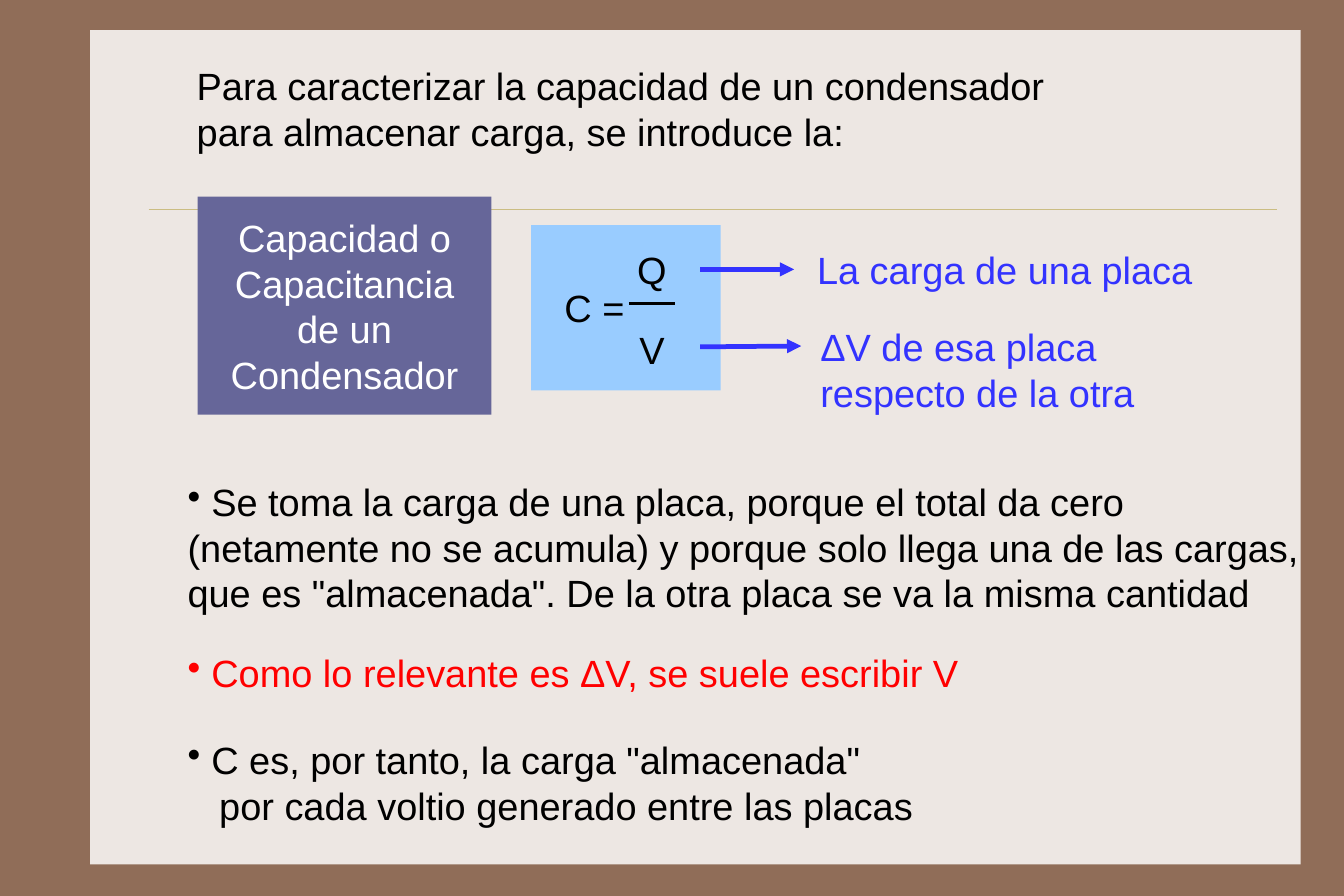
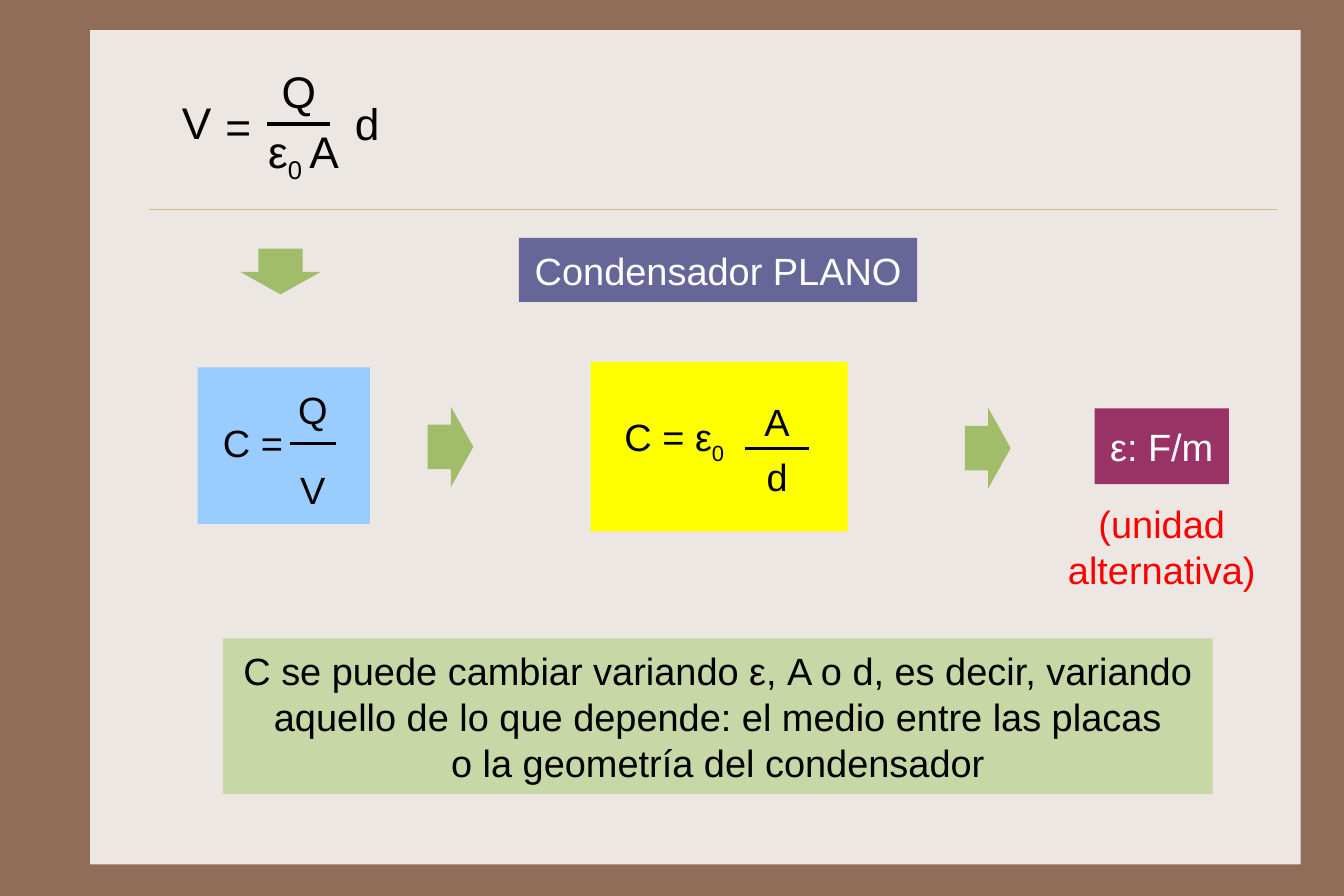
from lxml.etree import SubElement
from pptx import Presentation
from pptx.dml.color import RGBColor
from pptx.enum.shapes import MSO_CONNECTOR, MSO_SHAPE
from pptx.enum.text import MSO_ANCHOR, PP_ALIGN
from pptx.oxml.ns import qn
from pptx.util import Pt

FONT = "Arial"
BROWN = RGBColor(0x90, 0x6D, 0x58)
PAPER = RGBColor(0xED, 0xE7, 0xE3)
RULE = RGBColor(0xCB, 0xBD, 0x83)
BLACK = RGBColor(0, 0, 0)
WHITE = RGBColor(0xFF, 0xFF, 0xFF)
RED = RGBColor(0xFF, 0, 0)
BLUE = RGBColor(0x33, 0x33, 0xFF)
SKY = RGBColor(0x99, 0xCC, 0xFF)
SLATE = RGBColor(0x66, 0x66, 0x99)
YELLOW = RGBColor(0xFF, 0xFF, 0)
PLUM = RGBColor(0x99, 0x33, 0x66)
GREEN = RGBColor(0xA1, 0xBD, 0x69)
PALE_GREEN = RGBColor(0xC7, 0xD7, 0xA5)

CENTER = PP_ALIGN.CENTER
BULLET_INDENT = 15


def points(*values):
    return [Pt(value) for value in values]


def add_block(shapes, box, fill, kind=MSO_SHAPE.RECTANGLE):
    shape = shapes.add_shape(kind, *points(*box))
    shape.shadow.inherit = False
    shape.fill.solid()
    shape.fill.fore_color.rgb = fill
    shape.line.fill.background()
    return shape


def add_line(shapes, start, end, color=BLACK, width=2, arrow=False):
    line = shapes.add_connector(MSO_CONNECTOR.STRAIGHT, *points(*start, *end))
    line.line.color.rgb = color
    line.line.width = Pt(width)
    if arrow:
        SubElement(line.line._get_or_add_ln(), qn("a:tailEnd"), type="triangle")
    SubElement(line._element.spPr, qn("a:effectLst"))
    return line


def write(shapes, text, box, size=24, color=BLACK, fill=None, align=PP_ALIGN.LEFT,
          anchor=MSO_ANCHOR.TOP, margins=(7.2, 3.6), wrap=True, bullet=False, indent=0):
    """Write one paragraph per line; text between underscores is subscript.

    With bullet, the first line gets a bullet and the others the given indent.
    """
    if fill is None:
        shape = shapes.add_textbox(*points(*box))
    else:
        shape = add_block(shapes, box, fill)
    frame = shape.text_frame
    frame.word_wrap = wrap
    frame.vertical_anchor = anchor
    frame.margin_left = frame.margin_right = Pt(margins[0])
    frame.margin_top = frame.margin_bottom = Pt(margins[1])
    for number, line in enumerate(text.split("\n")):
        paragraph = frame.add_paragraph() if number else frame.paragraphs[0]
        if bullet:
            properties = paragraph._p.get_or_add_pPr()
            hanging = BULLET_INDENT if number == 0 else 0
            properties.set("marL", str(Pt(hanging or indent)))
            properties.set("indent", str(-Pt(hanging)))
            if hanging:
                SubElement(properties, qn("a:buChar"), char="•")
        paragraph.alignment = align
        paragraph.line_spacing = Pt(round(size * 1.21))
        for position, piece in enumerate(line.split("_")):
            if not piece:
                continue
            run = paragraph.add_run()
            run.text = piece
            run.font.name = FONT
            run.font.size = Pt(size)
            run.font.color.rgb = color
            if position % 2:
                run._r.get_or_add_rPr().set("baseline", "-25000")
    return shape


def add_fraction(shapes, bar, numerator, denominator, size=24, rise=40, drop=10.5, shift=0):
    """Set two terms around a bar (left, y, width); rise and drop place their tops."""
    left, y, width = bar
    add_line(shapes, (left, y), (left + width, y))
    term_left = left + width / 2 - 35
    height = size + 13
    write(shapes, numerator, (term_left, y - rise, 70, height), size=size, align=CENTER)
    write(shapes, denominator, (term_left + shift, y + drop, 70, height),
          size=size, align=CENTER)


def add_formula_box(slide, box, fill, label, label_at, bar, terms, **spacing):
    """Draw 'label fraction' on a block; label_at and bar are relative to the box."""
    shapes = slide.shapes.add_group_shape().shapes
    left, top = box[:2]
    add_block(shapes, box, fill)
    write(shapes, label, (left + label_at[0], top + label_at[1], 90, 37))
    add_fraction(shapes, (left + bar[0], top + bar[1], bar[2]), *terms, **spacing)


def add_block_arrow(slide, center_x, center_y, rotation=0):
    width, height = 29, 51
    box = (center_x - width / 2, center_y - height / 2, width, height)
    arrow = add_block(slide.shapes, box, GREEN, MSO_SHAPE.RIGHT_ARROW)
    arrow.adjustments[0] = 0.55
    arrow.adjustments[1] = 0.49
    arrow.rotation = rotation


def add_framed_slide(presentation):
    """Add a blank slide with the shared border, panel and rule."""
    slide = presentation.slides.add_slide(presentation.slide_layouts[6])
    slide.background.fill.solid()
    slide.background.fill.fore_color.rgb = BROWN
    add_block(slide.shapes, (57, 19, 766, 528), PAPER)
    add_line(slide.shapes, (94, 132.5), (808, 132.5), RULE, 0.25)
    return slide


def add_term_notes(slide, left, top):
    """Explain the two terms of the fraction with arrows and labels."""
    shapes = slide.shapes
    charge = write(shapes, "La carga de una placa", (left + 59.5, top, 266.5, 37),
                   color=BLUE, align=CENTER)
    arrow = add_line(shapes, (left, top + 18.5), (left + 59.5, top + 18.5), BLUE, 3, True)
    arrow.end_connect(charge, 1)
    add_line(shapes, (left, top + 67.5), (left + 64, top + 67), BLUE, 3, True)
    write(shapes, "ΔV de esa placa respecto de la otra", (left + 69, top + 49, 238, 65),
          color=BLUE)


def add_remarks(slide, left, top):
    remarks = [
        (0, BLACK, 0, "Se toma la carga de una placa, porque el total da cero\n"
         "(netamente no se acumula) y porque solo llega una de las cargas, "
         "que es \"almacenada\". De la otra placa se va la misma cantidad"),
        (108.5, RED, 0, "Como lo relevante es ΔV, se suele escribir V"),
        (163.5, BLACK, 20, "C es, por tanto, la carga \"almacenada\"\n"
         "por cada voltio generado entre las placas"),
    ]
    for offset, color, indent, text in remarks:
        height = 100 if offset == 0 else 71 if indent else 42
        write(slide.shapes, text, (left, top + offset, 721, height), color=color,
              margins=(7.2, 6.5), bullet=True, indent=indent)


def add_voltage_formula(slide, left, top):
    shapes = slide.shapes.add_group_shape().shapes
    for symbol, x, y in (("V", 0, 0), ("=", 27.5, 3), ("d", 109.5, 0.7)):
        write(shapes, symbol, (left + x, top + y, 40, 41), size=28)
    add_fraction(shapes, (left + 61, top + 22.3, 40), "Q", "ε_0 _A",
                 size=28, rise=41.8, drop=0.7, shift=3)


def add_unit(slide, left, top):
    shapes = slide.shapes.add_group_shape().shapes
    write(shapes, "ε: F/m", (left + 38, top, 85, 48), color=WHITE, fill=PLUM,
          align=CENTER, anchor=MSO_ANCHOR.MIDDLE, wrap=False)
    write(shapes, "(unidad alternativa)", (left, top + 52, 161, 71), color=RED,
          align=CENTER, margins=(7.2, 6.5))


def build_capacity_slide(presentation):
    slide = add_framed_slide(presentation)
    write(slide.shapes, "Para caracterizar la capacidad de un condensador "
          "para almacenar carga, se introduce la:", (117.4, 36, 560, 65.5))
    write(slide.shapes, "Capacidad o Capacitancia de un Condensador",
          (125, 124.5, 186, 138), color=WHITE, fill=SLATE, align=CENTER,
          anchor=MSO_ANCHOR.MIDDLE)
    add_formula_box(slide, (336, 142.5, 120, 104.5), SKY, "C =", (14, 34),
                    (62, 49.7, 29), ("Q", "V"))
    add_term_notes(slide, 443, 152)
    add_remarks(slide, 111.6, 296)


def build_flat_capacitor_slide(presentation):
    slide = add_framed_slide(presentation)
    add_voltage_formula(slide, 108, 56.2)
    add_block_arrow(slide, 177.5, 171.8, rotation=90)
    write(slide.shapes, "Condensador PLANO", (328.4, 150.5, 252, 40.5), color=WHITE,
          fill=SLATE, align=CENTER, anchor=MSO_ANCHOR.MIDDLE, wrap=False)
    add_formula_box(slide, (125, 232.5, 109, 99), SKY, "C =", (9, 29.5),
                    (58.5, 48.3, 29), ("Q", "V"))
    add_block_arrow(slide, 285, 282.8)
    add_formula_box(slide, (373.7, 229, 162.7, 107.3), YELLOW, "C = ε_0_", (14.3, 33),
                    (98, 54.7, 40), ("A", "d"), rise=35.3, drop=-0.7)
    add_block_arrow(slide, 625, 283.6)
    add_unit(slide, 654.6, 258.4)
    write(slide.shapes, "C se puede cambiar variando ε, A o d, es decir, variando\n"
          "aquello de lo que depende: el medio entre las placas\n"
          "o la geometría del condensador", (141, 404, 626.4, 98.6), fill=PALE_GREEN,
          align=CENTER, anchor=MSO_ANCHOR.MIDDLE)


def main():
    presentation = Presentation()
    presentation.slide_width, presentation.slide_height = points(850.4, 567)
    build_capacity_slide(presentation)
    build_flat_capacitor_slide(presentation)
    presentation.save("out.pptx")


if __name__ == "__main__":
    main()
